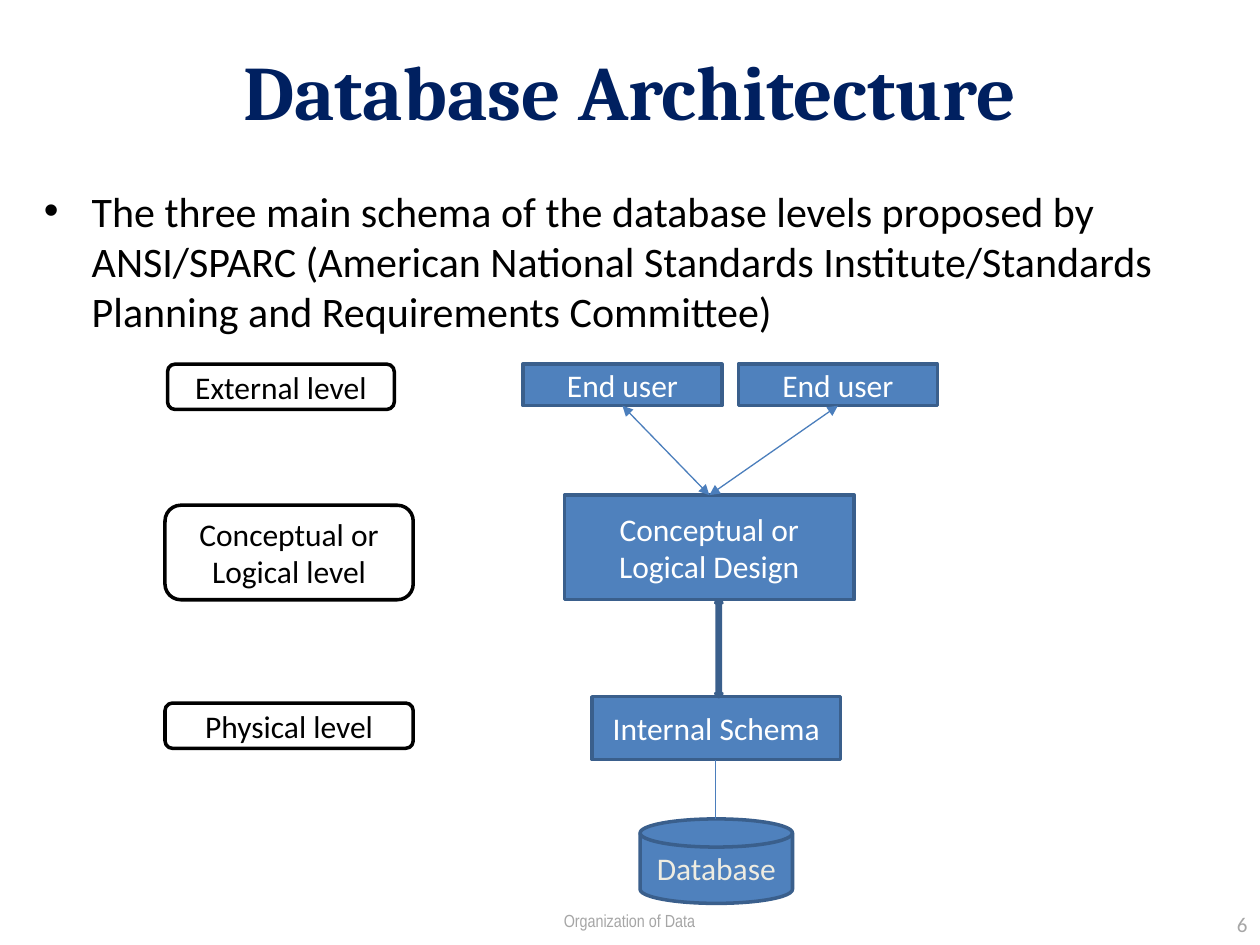
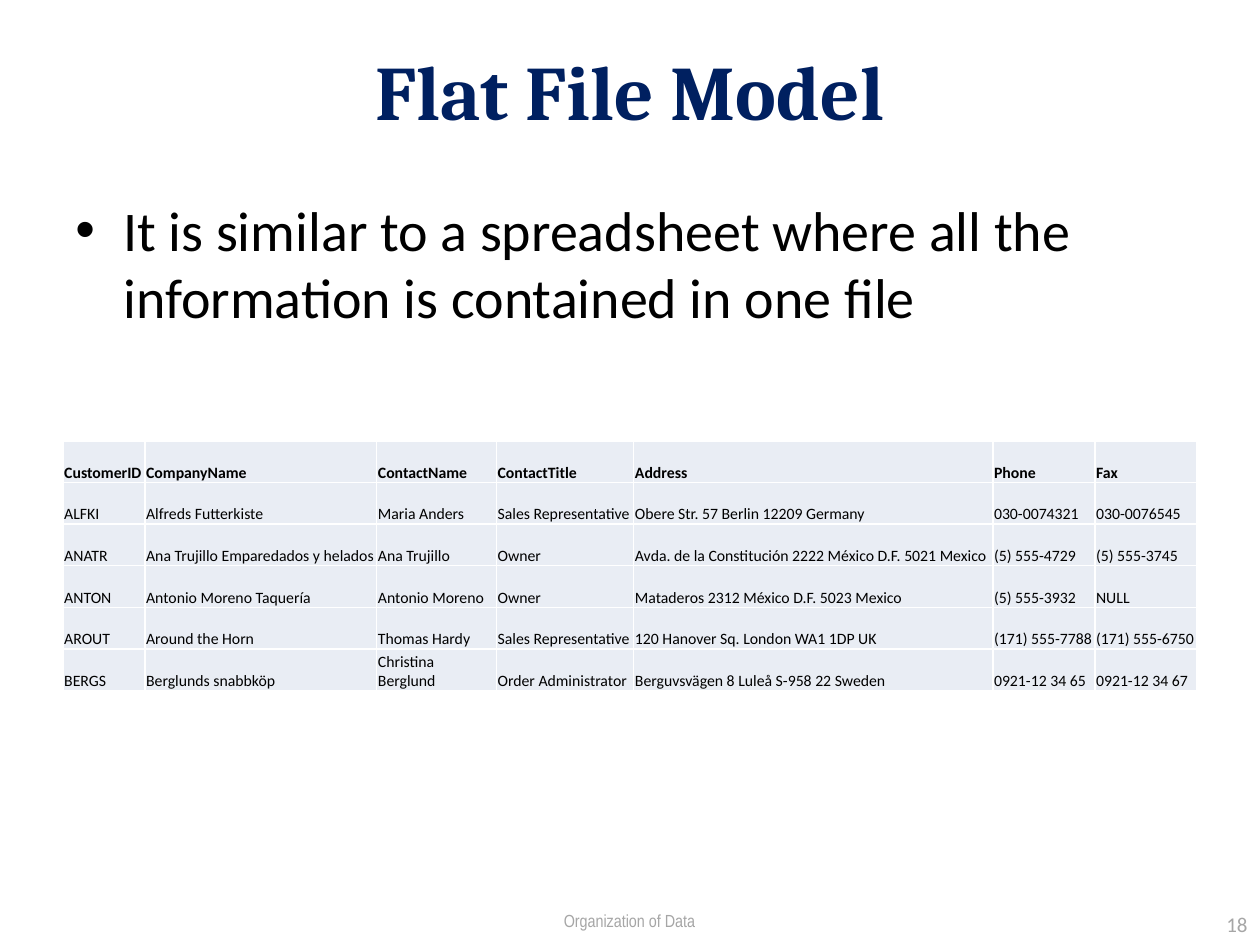
from pptx import Presentation
from pptx.util import Inches, Pt
from pptx.dml.color import RGBColor
from pptx.enum.shapes import MSO_SHAPE as Shape, MSO_CONNECTOR as Link
from pptx.enum.text import PP_ALIGN as Align, MSO_ANCHOR as Anchor
from pptx.oxml.ns import qn
from lxml.etree import SubElement

# Shared look
NAVY, BLUE, EDGE, WIRE = "002060", "4F81BD", "3A5F8C", "4B7EBC"
BLACK, WHITE, CREAM, GREY, PALE = "000000", "FFFFFF", "EEECE1", "A6A6A6", "E9EDF4"
FOOTER = "Organization of Data"

# Customer table
WIDTHS = [0.65, 1.84, 0.95, 1.09, 2.85, 0.81, 0.81]
ROW = 0.33
CUSTOMERS = [
    ["CustomerID", "CompanyName", "ContactName", "ContactTitle", "Address",
     "Phone", "Fax"],
    ["ALFKI", "Alfreds Futterkiste", "Maria Anders", "Sales Representative",
     "Obere Str. 57 Berlin 12209 Germany", "030-0074321", "030-0076545"],
    ["ANATR", "Ana Trujillo Emparedados y helados", "Ana Trujillo", "Owner",
     "Avda. de la Constitución 2222 México D.F. 5021 Mexico",
     "(5) 555-4729", "(5) 555-3745"],
    ["ANTON", "Antonio Moreno Taquería", "Antonio Moreno", "Owner",
     "Mataderos 2312 México D.F. 5023 Mexico", "(5) 555-3932", "NULL"],
    ["AROUT", "Around the Horn", "Thomas Hardy", "Sales Representative",
     "120 Hanover Sq. London WA1 1DP UK", "(171) 555-7788", "(171) 555-6750"],
    ["BERGS", "Berglunds snabbköp", "Christina Berglund", "Order Administrator",
     "Berguvsvägen 8 Luleå S-958 22 Sweden", "0921-12 34 65", "0921-12 34 67"],
]


def color(code):
    return RGBColor.from_string(code)


def write(frame, text, size=18, ink=BLACK, font="Calibri", bold=False,
          align=Align.LEFT, bullet=False):
    """Put one formatted paragraph into a text frame."""
    frame.word_wrap = True
    para = frame.paragraphs[0]
    para.alignment = align
    if bullet:
        props = para._p.get_or_add_pPr()
        props.set("marL", str(Inches(0.38)))
        props.set("indent", str(-Inches(0.38)))
        SubElement(props, qn("a:buFont"), typeface="Arial")
        SubElement(props, qn("a:buChar"), char="•")
    run = para.add_run()
    run.text = text
    run.font.size, run.font.name, run.font.bold = Pt(size), font, bold
    run.font.color.rgb = color(ink)


def label(slide, box, text, anchor=Anchor.TOP, **style):
    frame = slide.shapes.add_textbox(*map(Inches, box)).text_frame
    write(frame, text, **style)
    frame.vertical_anchor = anchor


def block(slide, kind, box, text="", fill=BLUE, edge=EDGE, ink=WHITE):
    shape = slide.shapes.add_shape(kind, *map(Inches, box))
    shape.shadow.inherit = False
    shape.fill.solid()
    shape.fill.fore_color.rgb = color(fill)
    shape.line.color.rgb = color(edge)
    shape.line.width = Pt(2)
    if text:
        write(shape.text_frame, text, ink=ink, align=Align.CENTER)
        shape.text_frame.vertical_anchor = Anchor.MIDDLE


def link(slide, start, end, arrows=False):
    line = slide.shapes.add_connector(Link.STRAIGHT, *map(Inches, start + end))
    line.line.color.rgb = color(WIRE)
    line.line.width = Pt(0.75)
    if arrows:
        stroke = line.line._get_or_add_ln()
        for tip in ("a:headEnd", "a:tailEnd"):
            SubElement(stroke, qn(tip), type="triangle")
    SubElement(line._element.spPr, qn("a:effectLst"))


def border(cell):
    """Draw thin white lines on all four sides of a cell."""
    props = cell._tc.get_or_add_tcPr()
    for spot, side in enumerate(("a:lnL", "a:lnR", "a:lnT", "a:lnB")):
        line = props.makeelement(qn(side), w=str(Pt(1)))
        paint = SubElement(line, qn("a:solidFill"))
        SubElement(paint, qn("a:srgbClr"), val=WHITE)
        props.insert(spot, line)


def grid(slide, left, top, rows):
    size = (sum(WIDTHS), ROW * len(rows))
    table = slide.shapes.add_table(
        len(rows), len(WIDTHS), *map(Inches, (left, top) + size)).table
    table.first_row = table.horz_banding = False
    for column, width in zip(table.columns, WIDTHS):
        column.width = Inches(width)
    for r, row in enumerate(rows):
        table.rows[r].height = Inches(ROW)
        for c, text in enumerate(row):
            cell = table.cell(r, c)
            cell.fill.solid()
            cell.fill.fore_color.rgb = color(PALE)
            cell.margin_left = cell.margin_right = cell.margin_top = Inches(0.01)
            cell.margin_bottom = 0
            cell.vertical_anchor = Anchor.BOTTOM
            write(cell.text_frame, text, size=9, bold=r == 0)
            border(cell)


def page(deck, title, number):
    """Add a slide with the shared title and footer."""
    slide = deck.slides.add_slide(deck.slide_layouts[6])
    label(slide, (0.5, 0, 9, 1.42), title, Anchor.MIDDLE, size=44, ink=NAVY,
          font="Cambria", bold=True, align=Align.CENTER)
    label(slide, (2.83, 7.17, 4.33, 0.31), FOOTER, size=10, ink=GREY,
          font="Arial Narrow", align=Align.CENTER)
    label(slide, (7.17, 7.17, 2.83, 0.33), str(number), Anchor.MIDDLE,
          size=12, ink=GREY, align=Align.RIGHT)
    return slide


def levels(deck):
    slide = page(deck, "Database Architecture", 6)
    label(slide, (0.25, 1.42, 9, 5.2),
          "The three main schema of the database levels proposed by ANSI/SPARC "
          "(American National Standards Institute/Standards Planning and "
          "Requirements Committee)", size=24, bullet=True)

    # Design stack, from users down to storage
    for left in (4.15, 5.86):
        block(slide, Shape.RECTANGLE, (left, 2.89, 1.58, 0.33), "End user")
    block(slide, Shape.RECTANGLE, (4.48, 3.93, 2.3, 0.83),
          "Conceptual or Logical Design")
    block(slide, Shape.RECTANGLE, (4.7, 5.53, 1.97, 0.5), "Internal Schema")
    block(slide, Shape.FLOWCHART_MAGNETIC_DISK, (5.08, 6.5, 1.21, 0.67),
          "Database", ink=CREAM)

    # Links between the layers
    block(slide, Shape.UP_DOWN_ARROW, (5.68, 4.76, 0.05, 0.77))
    for user in (4.94, 6.65):
        link(slide, (user, 3.22), (5.63, 3.93), arrows=True)
    link(slide, (5.68, 6.03), (5.68, 6.5))

    # Level names
    for box, text in (
        ((1.33, 2.89, 1.8, 0.36), "External level"),
        ((1.31, 4.01, 1.97, 0.75), "Conceptual or Logical level"),
        ((1.31, 5.58, 1.97, 0.36), "Physical level"),
    ):
        block(slide, Shape.ROUNDED_RECTANGLE, box, text, WHITE, BLACK, BLACK)


def flat(deck):
    slide = page(deck, "Flat File Model", 18)
    label(slide, (0.5, 1.5, 9, 5.2),
          "It is similar to a spreadsheet where all the information is "
          "contained in one file", size=32, bullet=True)
    grid(slide, 0.5, 3.5, CUSTOMERS)


def main():
    deck = Presentation()
    deck.slide_width, deck.slide_height = Inches(10), Inches(7.5)
    levels(deck)
    flat(deck)
    deck.save("out.pptx")


if __name__ == "__main__":
    main()
